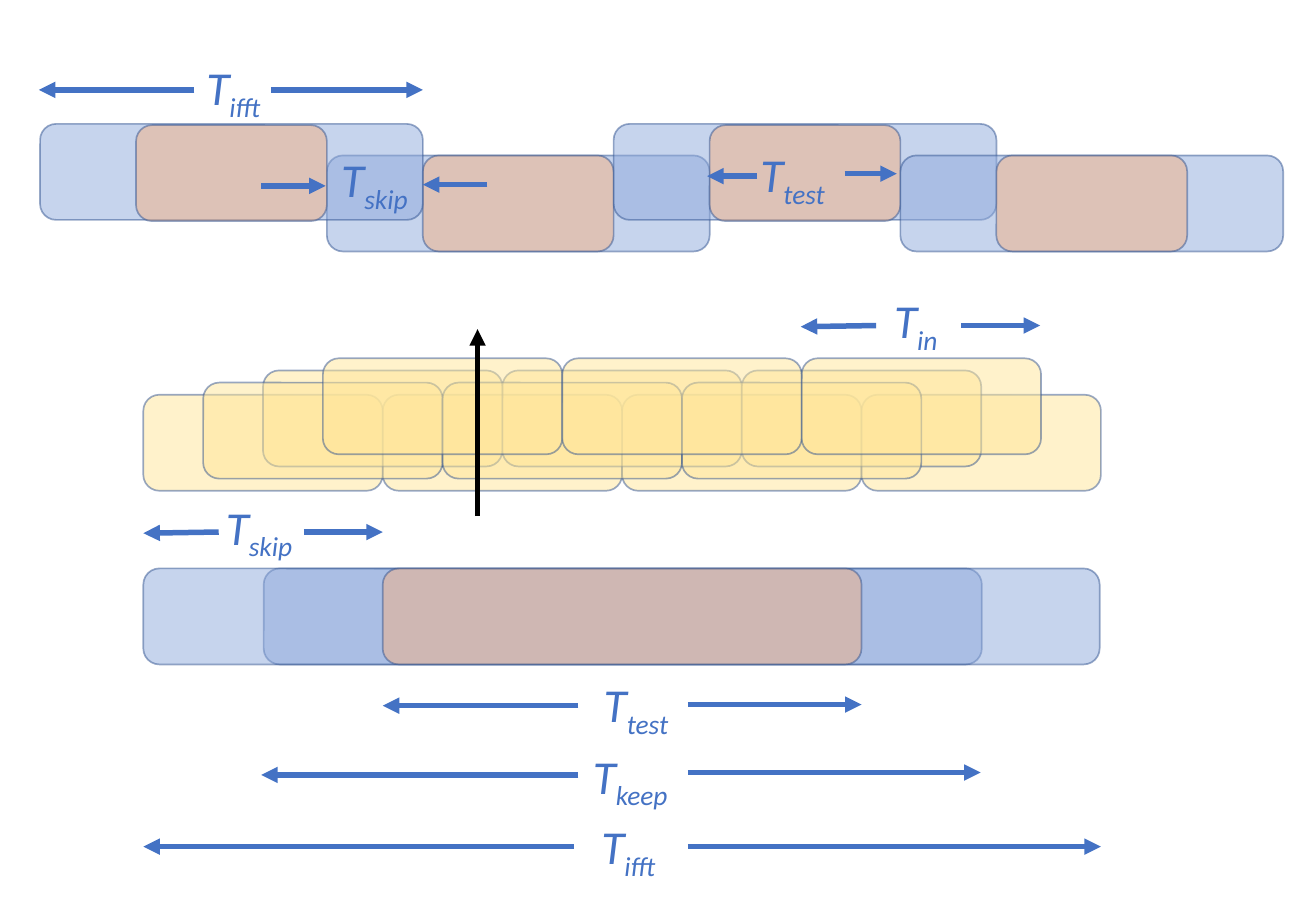
from dataclasses import dataclass

from lxml.etree import SubElement
from pptx import Presentation
from pptx.dml.color import RGBColor
from pptx.enum.shapes import MSO_CONNECTOR as CONN, MSO_SHAPE as SHAPE
from pptx.enum.text import MSO_AUTO_SIZE as AUTO
from pptx.oxml.ns import qn
from pptx.util import Inches, Pt

BLUE = RGBColor(0x8F, 0xAA, 0xDC)
ORANGE = RGBColor(0xF4, 0xB1, 0x83)
YELLOW = RGBColor(0xFF, 0xE6, 0x99)
OUTLINE = RGBColor(0x32, 0x54, 0x91)
ACCENT = RGBColor(0x44, 0x72, 0xC4)
BLACK = RGBColor(0, 0, 0)

LABEL_FONT = {"name": "Calibri", "size": Pt(28), "italic": True}
BOX_H = 0.79
FRAME_W, FRAME_PITCH, SKIP_W, TEST_W = 3.15, 2.36, 0.79, 1.57
WINDOW_W = 1.97


@dataclass
class Box:
    left: float
    top: float
    width: float
    color: RGBColor


@dataclass
class Arrow:
    start: tuple[float, float]
    tip: tuple[float, float]
    color: RGBColor = ACCENT


@dataclass
class Dimension:
    """A label T with a subscript between a left and a right arrow."""
    subscript: str
    label: tuple[float, float, float]  # left, top, width
    left: Arrow
    right: Arrow


def frame_boxes(i: int) -> list[Box]:
    left, low = 0.33 + i * FRAME_PITCH, i % 2
    return [Box(left, 1.28 if low else 1.02, FRAME_W, BLUE),
            Box(left + SKIP_W, 1.28 if low else 1.03, TEST_W, ORANGE)]


def window_boxes(row: int) -> list[Box]:
    left, count = 1.18 + row * WINDOW_W / 4, 3 if row else 4
    return [Box(left + n * WINDOW_W, 3.25 - 0.1 * row, WINDOW_W, YELLOW)
            for n in range(count)]


LONG_BARS = [
    Box(2.17, 4.68, 5.91, BLUE),
    Box(1.18, 4.68, 7.87, BLUE),
    Box(3.15, 4.68, 3.94, ORANGE),
]

DIMENSIONS = [
    Dimension("ifft", (1.6, 0.43, 0.7),
              Arrow((1.6, 0.74), (0.32, 0.74)), Arrow((2.23, 0.74), (3.48, 0.74))),
    Dimension("skip", (2.71, 1.19, 0.78),
              Arrow((2.15, 1.53), (2.68, 1.53)), Arrow((4.01, 1.52), (3.48, 1.52))),
    Dimension("test", (6.16, 1.15, 0.79),
              Arrow((6.23, 1.45), (5.82, 1.45)), Arrow((6.95, 1.43), (7.38, 1.43))),
    Dimension("in", (7.26, 2.35, 0.59),
              Arrow((7.21, 2.68), (6.59, 2.69)), Arrow((7.91, 2.68), (8.56, 2.68))),
    Dimension("skip", (1.76, 4.05, 0.78),
              Arrow((1.8, 4.38), (1.18, 4.39)), Arrow((2.5, 4.38), (3.15, 4.38))),
    Dimension("test", (4.87, 5.51, 0.79),
              Arrow((4.76, 5.81), (3.15, 5.81)), Arrow((5.66, 5.8), (7.09, 5.8))),
    Dimension("keep", (4.78, 6.1, 0.85),
              Arrow((4.76, 6.38), (2.15, 6.38)), Arrow((5.66, 6.36), (8.07, 6.36))),
    Dimension("ifft", (4.85, 6.68, 0.7),
              Arrow((4.72, 6.97), (1.18, 6.97)), Arrow((5.66, 6.97), (9.06, 6.97))),
]


def draw_box(shapes, box: Box) -> None:
    sp = shapes.add_shape(SHAPE.ROUNDED_RECTANGLE, Inches(box.left), Inches(box.top),
                          Inches(box.width), Inches(BOX_H))
    sp.shadow.inherit = False
    sp.fill.solid()
    sp.fill.fore_color.rgb = box.color
    sp.line.color.rgb = OUTLINE
    sp.line.width = Pt(1)
    # Fill and outline are both half transparent
    for color in sp._element.spPr.iter(qn("a:srgbClr")):
        SubElement(color, qn("a:alpha"), val="50000")


def draw_arrow(shapes, arrow: Arrow) -> None:
    ends = [Inches(v) for v in arrow.start + arrow.tip]
    line = shapes.add_connector(CONN.STRAIGHT, *ends)
    line.line.color.rgb = arrow.color
    line.line.width = Pt(3.25)
    SubElement(line.line._get_or_add_ln(), qn("a:tailEnd"), type="triangle")
    SubElement(line._element.spPr, qn("a:effectLst"))


def draw_label(shapes, dim: Dimension) -> None:
    left, top, width = (Inches(v) for v in dim.label)
    tf = shapes.add_textbox(left, top, width, Inches(0.57)).text_frame
    tf.word_wrap = False
    tf.auto_size = AUTO.SHAPE_TO_FIT_TEXT
    p = tf.paragraphs[0]
    for text in ("T", dim.subscript):
        r = p.add_run()
        r.text = text
        for name, value in LABEL_FONT.items():
            setattr(r.font, name, value)
        r.font.color.rgb = ACCENT
    r._r.get_or_add_rPr().set("baseline", "-25000")


def main() -> None:
    prs = Presentation()
    prs.slide_width, prs.slide_height = Inches(10.83), Inches(7.5)
    shapes = prs.slides.add_slide(prs.slide_layouts[6]).shapes

    # Overlapping frames and the enlarged frame
    boxes = [box for i in (1, 2, 0, 3) for box in frame_boxes(i)] + LONG_BARS
    # Staggered input windows
    boxes += [box for row in (0, 2, 1, 3) for box in window_boxes(row)]
    for box in boxes:
        draw_box(shapes, box)

    # Upward arrow through the windows
    draw_arrow(shapes, Arrow((3.93, 4.25), (3.93, 2.71), BLACK))

    # Durations
    for dim in DIMENSIONS:
        draw_arrow(shapes, dim.left)
        draw_arrow(shapes, dim.right)
        draw_label(shapes, dim)

    prs.save("out.pptx")


if __name__ == "__main__":
    main()
